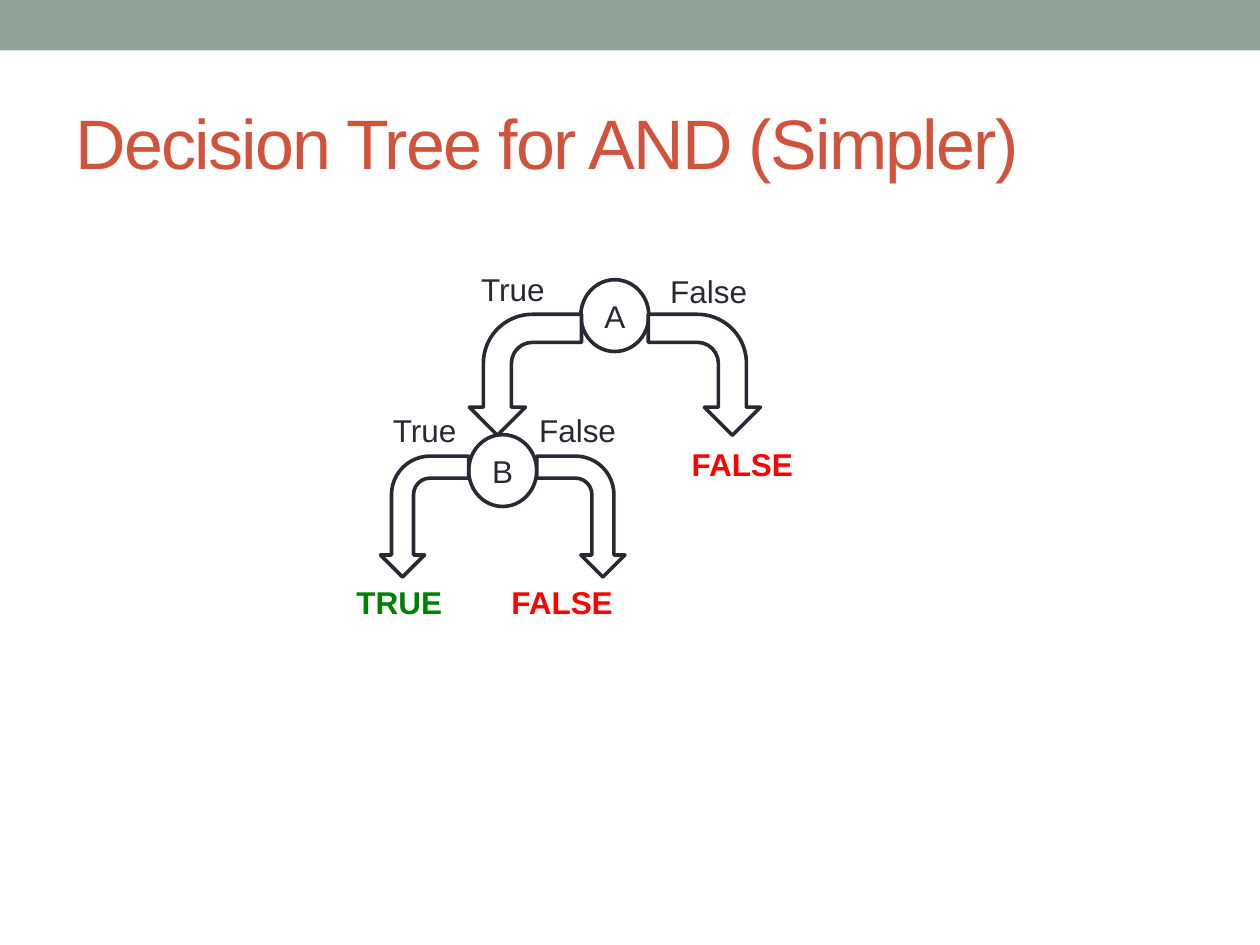
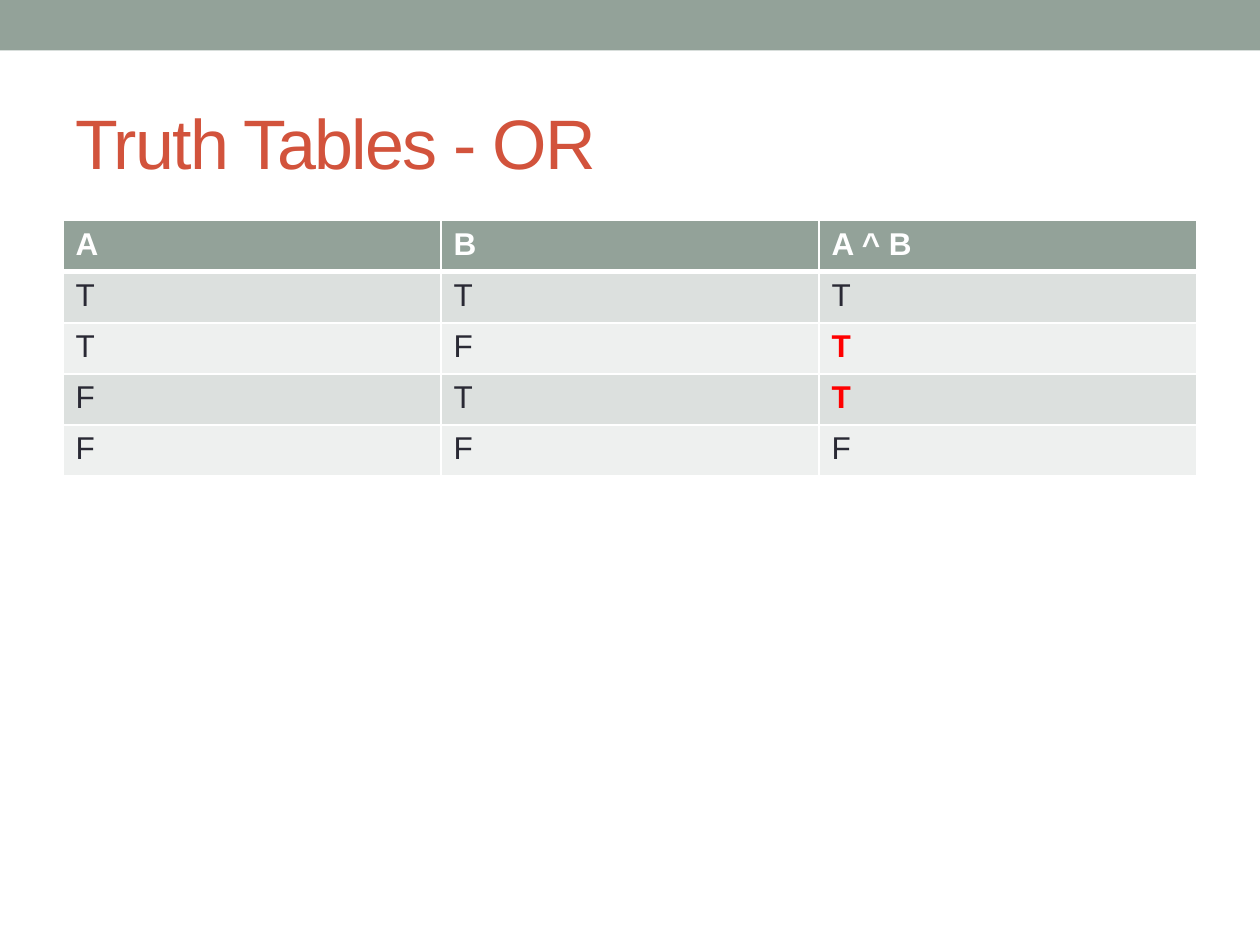
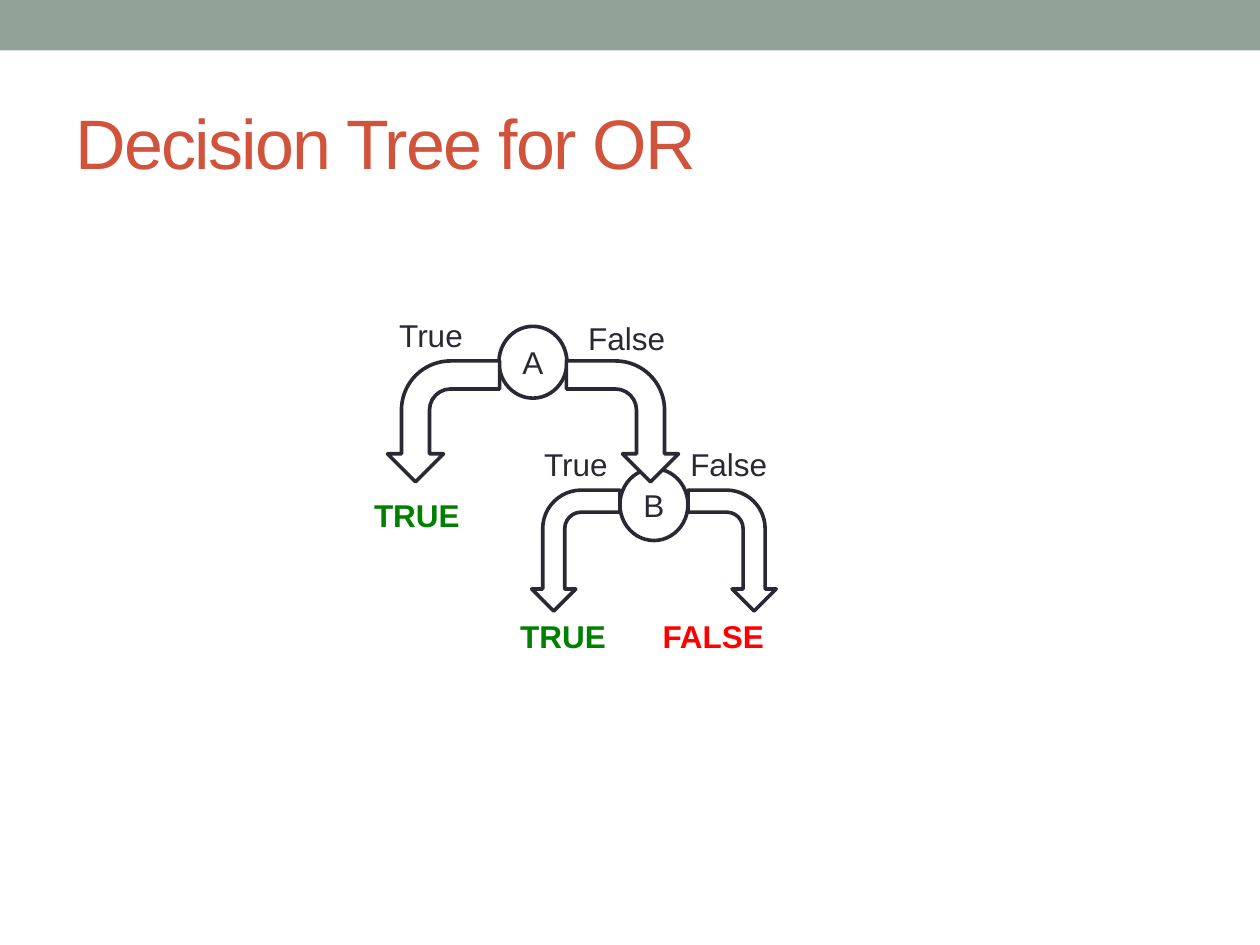
"""Build three slides on decision trees and truth tables for AND and OR."""
from lxml import etree
from pptx import Presentation
from pptx.dml.color import RGBColor
from pptx.enum.shapes import MSO_SHAPE
from pptx.enum.text import MSO_ANCHOR, PP_ALIGN
from pptx.oxml.ns import qn
from pptx.util import Pt

RECTANGLE, OVAL, BENT_ARROW = MSO_SHAPE.RECTANGLE, MSO_SHAPE.OVAL, MSO_SHAPE.BENT_ARROW
MIDDLE, LEFT, CENTER = MSO_ANCHOR.MIDDLE, PP_ALIGN.LEFT, PP_ALIGN.CENTER

EMU_PER_PX = 9144
SLIDE_SIZE = (1000, 750)
BAND_BOX = (0, 0, 1000, 40)
TITLE_BOX = (50, 58, 900, 108)
TABLE_BOX = (50, 175, 900, 203)
NODE_SIZE = (54, 57)
TEXT_HEIGHT = 40
LINE_WIDTH = 2.08

SAGE, RUST, INK, WHITE = "93A299", "D2533C", "292934", "FFFFFF"
RED, GREEN = "FF0000", "008000"
ROW_FILLS = ("DCE0DE", "EEF0EF")

BODY = {"name": "Arial", "size": Pt(18), "bold": False}
STRONG = {**BODY, "bold": True}
TITLE = {**BODY, "size": Pt(40)}
LEAF_STYLES = {"TRUE": (89, GREEN), "FALSE": (102, RED)}

ARROW_LENGTH = 96
BRANCHES = {
    "A": {
        "arrow_width": 89,
        "arrows": [(-92, 31, 270), (50, 31, 90)],
        "labels": [("True", -89, -13, 89), ("False", 61, -11, 89)],
    },
    "B": {
        "arrow_width": 70,
        "arrows": [(-83, 30, 270), (41, 30, 90)],
        "labels": [("True", -70, -24, 72), ("False", 46, -24, 89)],
    },
}

AND_TREE = {
    "title": "Decision Tree for AND (Simpler)",
    "nodes": {"A": (461, 222), "B": (372, 345)},
    "leaves": [("TRUE", 273, 458), ("FALSE", 396, 458), ("FALSE", 539, 348)],
}
OR_TREE = {
    "title": "Decision Tree for OR",
    "nodes": {"A": (396, 259), "B": (492, 372)},
    "leaves": [("TRUE", 403, 485), ("FALSE", 516, 485), ("TRUE", 287, 389)],
}
OR_TABLE = {
    "title": "Truth Tables - OR",
    "rows": [
        ("A", "B", "A ^ B"),
        ("T", "T", "T"),
        ("T", "F", "T"),
        ("F", "T", "T"),
        ("F", "F", "F"),
    ],
    "highlights": {(2, 2), (3, 2)},
}


def emu(*lengths):
    """Turn px lengths into EMU."""
    return [length * EMU_PER_PX for length in lengths]


def color(hex_value):
    """Turn a hex string into a colour."""
    return RGBColor.from_string(hex_value)


def write(frame, text, style, hex_value, alignment=LEFT):
    """Write one formatted run into a text frame and return it."""
    paragraph = frame.paragraphs[0]
    paragraph.alignment = alignment
    run = paragraph.add_run()
    run.text = text
    for name, value in style.items():
        setattr(run.font, name, value)
    run.font.color.rgb = color(hex_value)
    return run


def add_filled(slide, kind, box, fill, line=None):
    """Add a preset shape with a flat fill and an optional outline."""
    shape = slide.shapes.add_shape(kind, *emu(*box))
    shape.shadow.inherit = False
    shape.fill.solid()
    shape.fill.fore_color.rgb = color(fill)
    if line:
        shape.line.color.rgb = color(line)
        shape.line.width = Pt(LINE_WIDTH)
    else:
        shape.line.fill.background()
    return shape


def add_text(slide, text, left, top, width, style, hex_value):
    """Add a one-line text box."""
    frame = slide.shapes.add_textbox(*emu(left, top, width, TEXT_HEIGHT)).text_frame
    frame.word_wrap = True
    write(frame, text, style, hex_value)


def add_titled_slide(presentation, text):
    """Add a slide with the shared band and title."""
    slide = presentation.slides.add_slide(presentation.slide_layouts[5])
    add_filled(slide, RECTANGLE, BAND_BOX, SAGE)
    title = slide.shapes.title
    title.left, title.top, title.width, title.height = emu(*TITLE_BOX)
    title.text_frame.vertical_anchor = MIDDLE
    run = write(title.text_frame, text, TITLE, RUST)
    run.font._element.set("spc", "-100")
    return slide


def add_node(slide, name, left, top):
    """Add a round decision node."""
    node = add_filled(slide, OVAL, (left, top, *NODE_SIZE), WHITE, INK)
    node.text_frame.word_wrap = False
    node.text_frame.vertical_anchor = MIDDLE
    write(node.text_frame, name, BODY, INK, CENTER)


def add_branch_arrow(slide, left, top, width, rotation):
    """Add a bent arrow turned downwards, mirrored on the left side."""
    box = (left, top, ARROW_LENGTH, width)
    arrow = add_filled(slide, BENT_ARROW, box, WHITE, INK)
    arrow.rotation = rotation
    if rotation == 270:
        arrow.element.spPr.xfrm.set("flipH", "1")


def add_tree_slide(presentation, tree):
    """Add a slide with a decision tree of two nodes."""
    slide = add_titled_slide(presentation, tree["title"])
    nodes = tree["nodes"]
    for name, (left, top) in nodes.items():
        add_node(slide, name, left, top)
    for name, (left, top) in nodes.items():
        branch = BRANCHES[name]
        for x, y, rotation in branch["arrows"]:
            add_branch_arrow(slide, left + x, top + y, branch["arrow_width"], rotation)
    for name, (left, top) in nodes.items():
        for text, x, y, width in BRANCHES[name]["labels"]:
            add_text(slide, text, left + x, top + y, width, BODY, INK)
    for text, left, top in tree["leaves"]:
        width, hex_value = LEAF_STYLES[text]
        add_text(slide, text, left, top, width, STRONG, hex_value)


def set_borders(cell, widths):
    """Draw white cell borders with a width in points for each side."""
    properties = cell._tc.get_or_add_tcPr()
    for side, width in widths.items():
        line = etree.SubElement(properties, qn(f"a:ln{side}"), w=str(Pt(width)))
        fill = etree.SubElement(line, qn("a:solidFill"))
        etree.SubElement(fill, qn("a:srgbClr"), val=WHITE)


def add_table_slide(presentation, content):
    """Add a slide with a truth table."""
    slide = add_titled_slide(presentation, content["title"])
    rows = content["rows"]
    table = slide.shapes.add_table(len(rows), len(rows[0]), *emu(*TABLE_BOX)).table
    for row, values in enumerate(rows):
        fill = ROW_FILLS[(row - 1) % 2] if row else SAGE
        widths = {"L": 1, "R": 1, "T": 3 if row == 1 else 1, "B": 1 if row else 3}
        for column, text in enumerate(values):
            cell = table.cell(row, column)
            set_borders(cell, widths)
            cell.fill.solid()
            cell.fill.fore_color.rgb = color(fill)
            if row == 0:
                style, hex_value = STRONG, WHITE
            elif (row, column) in content["highlights"]:
                style, hex_value = STRONG, RED
            else:
                style, hex_value = BODY, INK
            write(cell.text_frame, text, style, hex_value)


def main():
    """Build and save the presentation."""
    presentation = Presentation()
    presentation.slide_width, presentation.slide_height = emu(*SLIDE_SIZE)
    add_tree_slide(presentation, AND_TREE)
    add_table_slide(presentation, OR_TABLE)
    add_tree_slide(presentation, OR_TREE)
    presentation.save("out.pptx")


if __name__ == "__main__":
    main()
